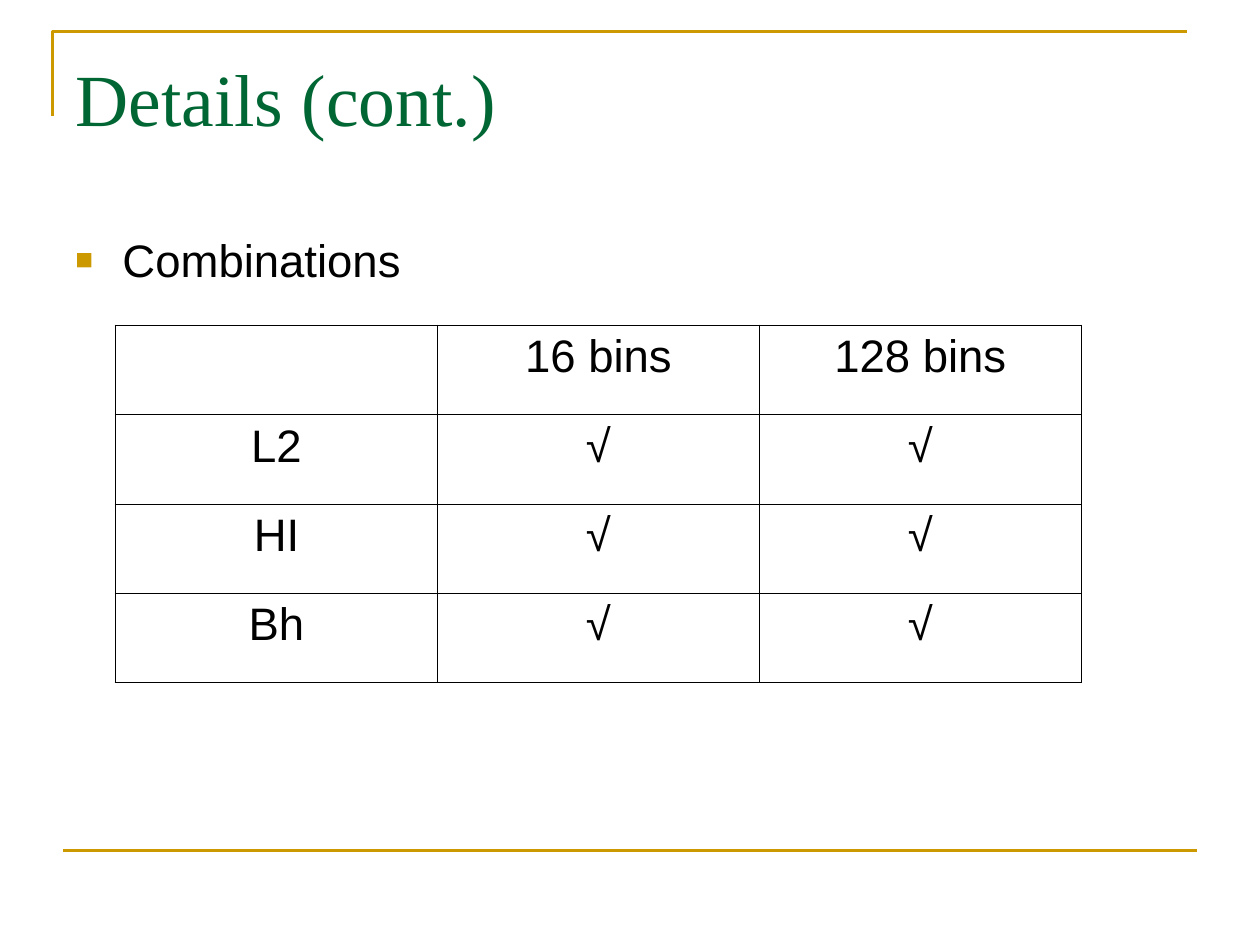
from dataclasses import dataclass

from lxml.etree import SubElement
from pptx import Presentation
from pptx.dml.color import RGBColor
from pptx.enum.shapes import MSO_CONNECTOR
from pptx.enum.text import MSO_ANCHOR, MSO_AUTO_SIZE, PP_ALIGN
from pptx.oxml.ns import qn
from pptx.util import Cm, Pt


@dataclass(frozen=True)
class Theme:
    gold: str = "CC9900"
    green: str = "006633"
    black: str = "000000"
    title_font: str = "Times New Roman"
    body_font: str = "Arial"
    title_size: float = 42
    body_size: float = 26
    rule_width: float = 1.5
    outer_border: float = 1.08
    inner_border: float = 0.45


theme = Theme()


def write(frame, text, font=theme.body_font, size=theme.body_size,
          color=theme.black, align=PP_ALIGN.LEFT, before=0):
    paragraph = frame.paragraphs[0]
    paragraph.alignment = align
    paragraph.space_before = Pt(before)
    run = paragraph.add_run()
    run.text = text
    run.font.name = font
    run.font.size = Pt(size)
    run.font.color.rgb = RGBColor.from_string(color)
    return paragraph


def add_border(cell, side, width):
    """Draw one side (L, R, T or B); call in that order, before the fill."""
    border = SubElement(cell._tc.get_or_add_tcPr(), qn(f"a:ln{side}"), w=str(Pt(width)))
    fill = SubElement(border, qn("a:solidFill"))
    SubElement(fill, qn("a:srgbClr"), val=theme.black)


prs = Presentation()
prs.slide_width, prs.slide_height = Cm(25.4), Cm(19.05)
slide = prs.slides.add_slide(prs.slide_layouts[5])

# Gold rules around the page
corner_builder = slide.shapes.build_freeform(Cm(1.06), Cm(2.33))
corner_builder.add_line_segments([(Cm(1.06), Cm(0.64)), (Cm(23.92), Cm(0.64))], close=False)
corner = corner_builder.convert_to_shape()
corner.fill.background()
corner.shadow.inherit = False
footer_rule = slide.shapes.add_connector(
    MSO_CONNECTOR.STRAIGHT, Cm(1.27), Cm(17.15), Cm(24.13), Cm(17.15))
SubElement(footer_rule._element.spPr, qn("a:effectLst"))
for rule in (corner, footer_rule):
    rule.line.color.rgb = RGBColor.from_string(theme.gold)
    rule.line.width = Pt(theme.rule_width)

# Title
title = slide.shapes.title
title.left, title.top, title.width, title.height = Cm(1.27), Cm(0.76), Cm(22.86), Cm(3.18)
title.text_frame.vertical_anchor = MSO_ANCHOR.TOP
title.text_frame.auto_size = MSO_AUTO_SIZE.NONE
title.text_frame.margin_top = Cm(0.3)
write(title.text_frame, "Details (cont.)", font=theme.title_font,
      size=theme.title_size, color=theme.green)

# Bullet
body = slide.shapes.add_textbox(Cm(1.27), Cm(4.45), Cm(11.23), Cm(12.57))
body.text_frame.word_wrap = True
body.text_frame.margin_top = Cm(0.23)
combinations = write(body.text_frame, "Combinations", before=6.5)
bullet = combinations._p.get_or_add_pPr()
bullet.set("marL", str(Cm(0.95)))
bullet.set("indent", str(-Cm(0.95)))
bullet_color = SubElement(bullet, qn("a:buClr"))
SubElement(bullet_color, qn("a:srgbClr"), val=theme.gold)
SubElement(bullet, qn("a:buSzPct"), val="65000")
SubElement(bullet, qn("a:buFont"), typeface=theme.body_font)
SubElement(bullet, qn("a:buChar"), char="■")

# Table of distance measures against histogram sizes
combination_rows = [["", "16 bins", "128 bins"]]
combination_rows += [[measure, "√", "√"] for measure in ("L2", "HI", "Bh")]
row_count, column_count = len(combination_rows), len(combination_rows[0])
grid = slide.shapes.add_table(row_count, column_count, Cm(2.33), Cm(6.56),
                              Cm(6.49) * column_count, Cm(1.8) * row_count).table
grid.first_row = grid.horz_banding = False
for r, labels in enumerate(combination_rows):
    for c, label in enumerate(labels):
        cell = grid.cell(r, c)
        outer_sides = {"L": c == 0, "R": c == column_count - 1,
                       "T": r == 0, "B": r == row_count - 1}
        for side, is_outer in outer_sides.items():
            add_border(cell, side, theme.outer_border if is_outer else theme.inner_border)
        cell.fill.background()
        if label:
            write(cell.text_frame, label, align=PP_ALIGN.CENTER, before=6.5)

prs.save("out.pptx")
